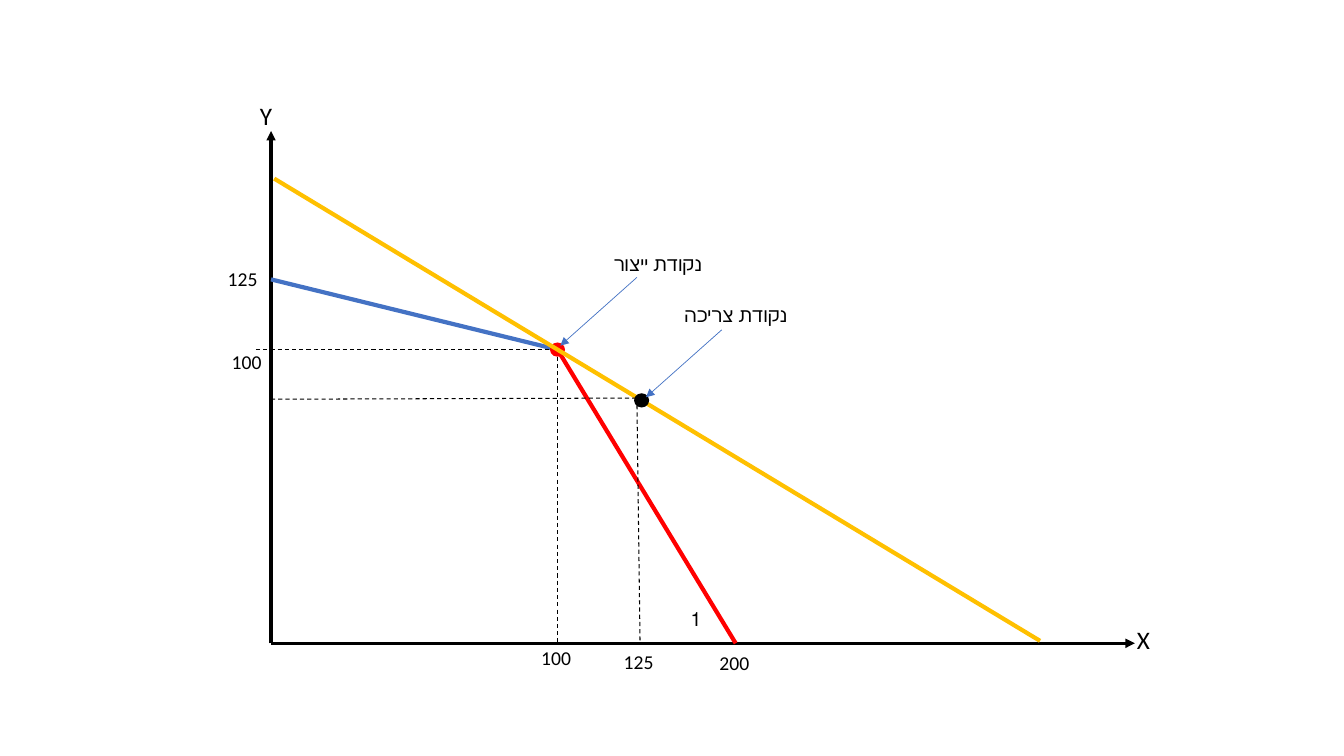
from lxml import etree
from pptx import Presentation
from pptx.dml.color import RGBColor
from pptx.enum import dml, shapes, text
from pptx.oxml.ns import qn
from pptx.util import Cm, Pt

BLACK, RED, BLUE, GOLD = "000000", "FF0000", "4472C4", "FFC000"


def rgb(value):
    return RGBColor.from_string(value)


def add_line(start, end, color, width, dash=False, arrow=False):
    points = [Cm(v) for v in (*start, *end)]
    line = slide.shapes.add_connector(shapes.MSO_CONNECTOR.STRAIGHT, *points)
    line.line.color.rgb = rgb(color)
    line.line.width = Pt(width)
    if dash:
        line.line.dash_style = dml.MSO_LINE.DASH
    if arrow:
        etree.SubElement(line.line._get_or_add_ln(), qn("a:tailEnd"), type="triangle")
    etree.SubElement(line._element.spPr, qn("a:effectLst"))


prs = Presentation()
prs.slide_width, prs.slide_height = Cm(33.87), Cm(19.05)
slide = prs.slides.add_slide(prs.slide_layouts[6])

origin = (6.83, 16.21)
production = (14.05, 8.81)
consumption = (16.17, 10.09)

# Axes
for end in [(origin[0], 3.3), (28.6, origin[1])]:
    add_line(origin, end, BLACK, 2.25, arrow=True)

# Production frontier
add_line((origin[0], 7.04), production, BLUE, 3)
add_line(production, (18.54, origin[1]), RED, 3)

# Guides, price line and the two marked points
dot_w, dot_h = 0.38, 0.36
for (x, y), color in [(production, RED), (consumption, BLACK)]:
    if color == RED:
        add_line((6.45, y), (13.87, y), BLACK, 0.75, dash=True)
        add_line((x, 8.99), (x, origin[1]), BLACK, 0.75, dash=True)
    else:
        add_line((6.91, 4.5), (26.21, 16.15), GOLD, 3)
        add_line((16.05, 10.03), (16.13, origin[1]), BLACK, 0.75, dash=True)
        add_line((origin[0], 10.06), (16.18, 10.03), BLACK, 0.75, dash=True)
    dot = slide.shapes.add_shape(shapes.MSO_SHAPE.OVAL, Cm(x - dot_w / 2),
                                 Cm(y - dot_h / 2), Cm(dot_w), Cm(dot_h))
    dot.shadow.inherit = False
    dot.fill.solid()
    dot.fill.fore_color.rgb = rgb(color)
    dot.line.fill.background()

# Pointers from the captions to the points
add_line((16.05, 6.99), (14.12, 8.71), BLUE, 0.5, arrow=True)
add_line((18.19, 8.31), (16.28, 10.01), BLUE, 0.5, arrow=True)

# Labels: text, left, top, width, font size, right to left
labels = [
    ("Y", 6.3, 2.41, 1.02, 18, False),
    ("X", 28.4, 15.6, 1.02, 18, False),
    ("125", 5.49, 6.6, 1.3, 14, False),
    ("100", 5.59, 8.69, 1.3, 14, False),
    ("100", 13.39, 16.15, 1.3, 14, False),
    ("125", 15.47, 16.26, 1.75, 14, False),
    ("200", 17.88, 16.28, 1.3, 14, False),
    ("1", 16.18, 15.16, 1.75, 14, True),
    ("נקודת ייצור", 14.66, 6.22, 3.28, 14, True),
    ("נקודת צריכה", 16.81, 7.52, 3.28, 14, True),
]
for label, left, top, width, size, rtl in labels:
    height = 1.12 if size == 18 else 0.86
    box = slide.shapes.add_textbox(Cm(left), Cm(top), Cm(width), Cm(height))
    tf = box.text_frame
    tf.word_wrap = True
    tf.auto_size = text.MSO_AUTO_SIZE.SHAPE_TO_FIT_TEXT
    p = tf.paragraphs[0]
    p.text = label
    if rtl:
        p.alignment = text.PP_ALIGN.RIGHT
        p._p.get_or_add_pPr().set("rtl", "1")
    p.font.name = "Calibri"
    p.font.size = Pt(size)
    p.font.color.rgb = rgb(BLACK)

prs.save("out.pptx")
